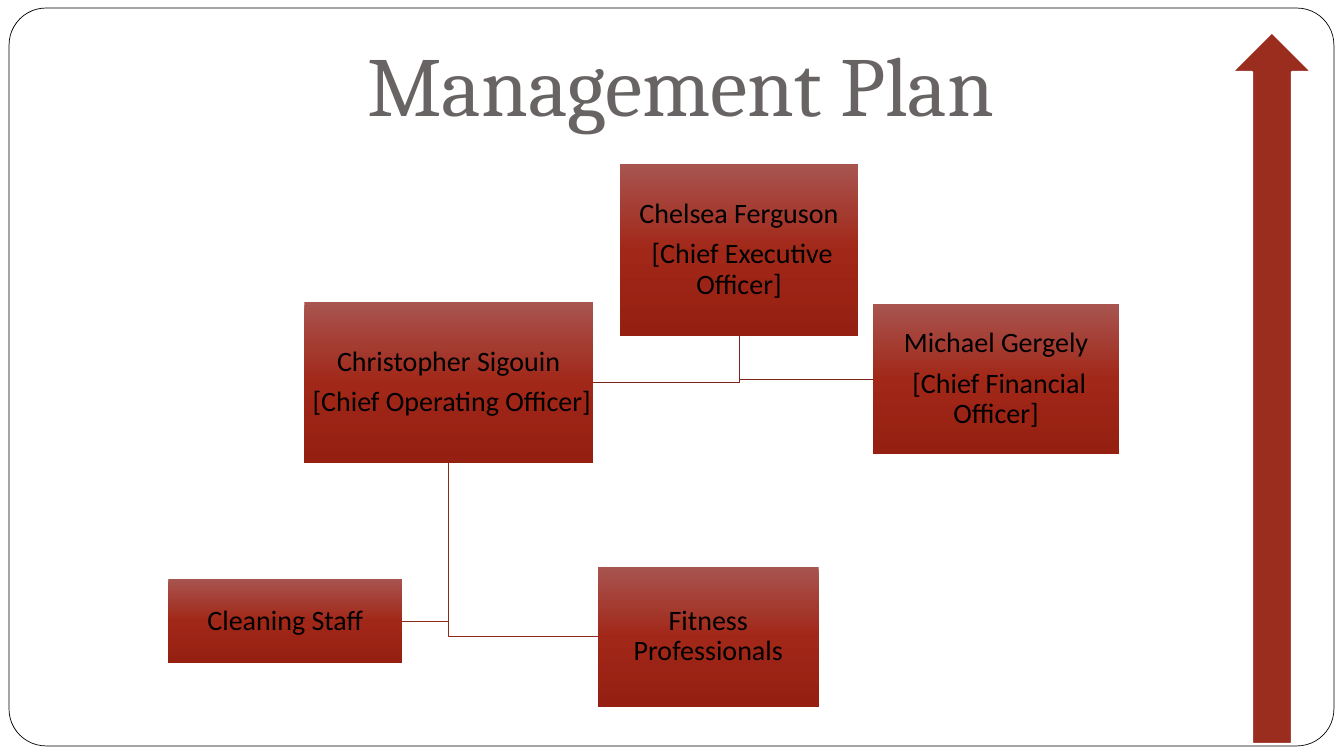
from copy import deepcopy
from dataclasses import dataclass

from pptx import Presentation
from pptx.dml.color import RGBColor
from pptx.enum.shapes import MSO_SHAPE as Kind
from pptx.enum.text import MSO_ANCHOR as Anchor, PP_ALIGN as Align
from pptx.oxml.ns import qn
from pptx.shapes.autoshape import Shape
from pptx.shapes.shapetree import SlideShapes
from pptx.text.text import TextFrame
from pptx.util import Pt

PX = 9144
WHITE = RGBColor(0xFF, 0xFF, 0xFF)
BLACK = RGBColor(0x00, 0x00, 0x00)
GREY = RGBColor(0x69, 0x64, 0x64)
RED = RGBColor(0x9B, 0x2D, 0x1F)
RUST = RGBColor(0x7C, 0x24, 0x19)
BRICK = RGBColor(0x8D, 0x29, 0x1C)
SHADE = {
    0.0: RGBColor(0xA8, 0x54, 0x4F),
    0.5: RGBColor(0xA1, 0x28, 0x19),
    1.0: RGBColor(0x95, 0x1F, 0x11),
}


@dataclass(frozen=True)
class Post:
    left: int
    top: int
    width: int
    height: int
    lines: tuple[str, ...]

    @property
    def mid(self) -> int:
        return self.left + self.width // 2

    @property
    def base(self) -> int:
        return self.top + self.height

    @property
    def row(self) -> int:
        return self.top + self.height // 2


@dataclass(frozen=True)
class Link:
    boss: Post
    staff: Post
    color: RGBColor


CEO = Post(615, 163, 236, 170, ("Chelsea Ferguson", " [Chief Executive Officer]"))
COO = Post(302, 300, 286, 159, ("Christopher Sigouin", " [Chief Operating Officer]"))
CFO = Post(866, 302, 244, 148, ("Michael Gergely", " [Chief Financial Officer]"))
FIT = Post(593, 562, 219, 139, ("Fitness Professionals",))
CLEAN = Post(167, 574, 232, 84, ("Cleaning Staff",))
POSTS = (CEO, COO, FIT, CLEAN, CFO)
LINKS = (
    Link(CEO, CFO, RUST),
    Link(COO, CLEAN, BRICK),
    Link(COO, FIT, BRICK),
    Link(CEO, COO, RUST),
)


def style(item: object, look: dict[str, object]) -> None:
    for name, value in look.items():
        setattr(item, name, value)


def write(frame: TextFrame, lines: tuple[str, ...], look: dict[str, object],
          para: dict[str, object], font: dict[str, object], color: RGBColor) -> None:
    style(frame, {"word_wrap": True} | look)
    frame.text = "\n".join(lines)
    for part in frame.paragraphs:
        style(part, {"alignment": Align.CENTER} | para)
        style(part.runs[0].font, font)
        part.runs[0].font.color.rgb = color


def add(shapes: SlideShapes, kind: Kind, *area: int) -> Shape:
    shape = shapes.add_shape(kind, *(n * PX for n in area))
    shape.shadow.inherit = False
    return shape


def paint(shape: Shape, fill: RGBColor, line: RGBColor, width: float) -> None:
    shape.fill.solid()
    shape.fill.fore_color.rgb = fill
    shape.line.color.rgb = line
    shape.line.width = Pt(width)


def join(shapes: SlideShapes, link: Link) -> None:
    boss, staff = link.boss, link.staff
    end = staff.left if staff.mid > boss.mid else staff.left + staff.width
    pen = shapes.build_freeform(boss.mid, boss.base, PX)
    pen.add_line_segments([(boss.mid, staff.row), (end, staff.row)], close=False)
    elbow = pen.convert_to_shape()
    elbow.shadow.inherit = False
    elbow.fill.background()
    elbow.line.color.rgb = link.color
    elbow.line.width = Pt(0.5)


def draw(shapes: SlideShapes, post: Post) -> None:
    box = add(shapes, Kind.RECTANGLE, post.left, post.top, post.width, post.height)
    box.line.fill.background()
    box.fill.gradient()
    box.fill.gradient_angle = 270
    stops = box._element.spPr.find(".//" + qn("a:gsLst"))
    stops.append(deepcopy(stops[0]))
    for stop, (place, color) in zip(box.fill.gradient_stops, SHADE.items()):
        stop.position = place
        stop.color.rgb = color
    edges = ("left", "top", "right", "bottom")
    look = {"vertical_anchor": Anchor.MIDDLE} | {f"margin_{e}": PX for e in edges}
    write(box.text_frame, post.lines, look,
          {"line_spacing": 0.9, "space_after": Pt(7)},
          {"name": "Calibri", "size": Pt(20)}, BLACK)


def main() -> None:
    deck = Presentation()
    style(deck, {"slide_width": 1333 * PX, "slide_height": 750 * PX})
    shapes = deck.slides.add_slide(deck.slide_layouts[6]).shapes

    frame = add(shapes, Kind.ROUNDED_RECTANGLE, 9, 8, 1314, 732)
    frame.adjustments[0] = 0.05
    paint(frame, WHITE, BLACK, 0.5)

    title = shapes.add_textbox(*(n * PX for n in (309, 32, 732, 110)))
    write(title.text_frame, ("Management Plan",),
          {"vertical_anchor": Anchor.BOTTOM, "margin_bottom": 10 * PX}, {},
          {"name": "Cambria", "size": Pt(60)}, GREY)

    for link in LINKS:
        join(shapes, link)
    for post in POSTS:
        draw(shapes, post)

    arrow = add(shapes, Kind.UP_ARROW, 1222, 32, 79, 706)
    paint(arrow, RED, WHITE, 1.5)
    deck.save("out.pptx")


if __name__ == "__main__":
    main()
